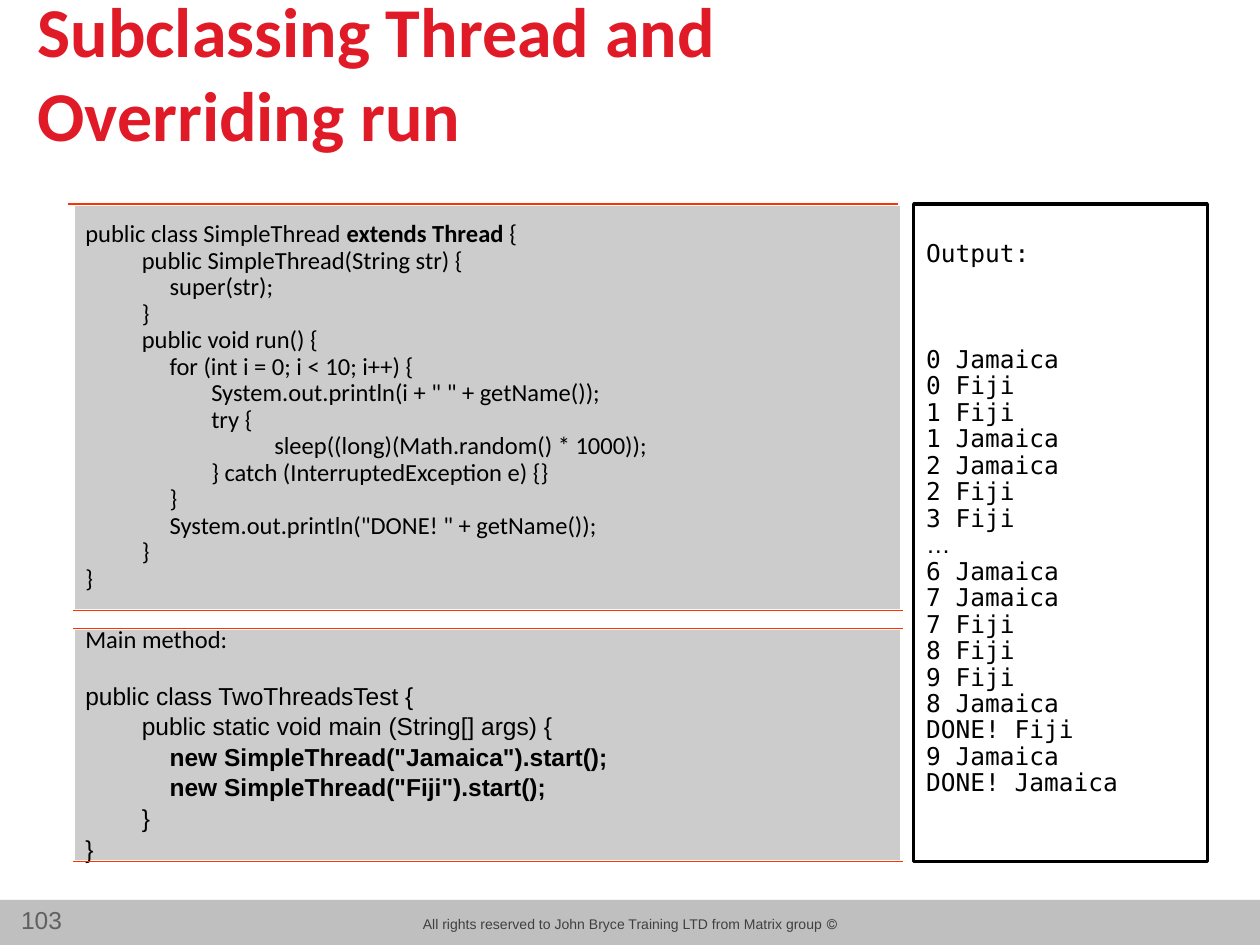
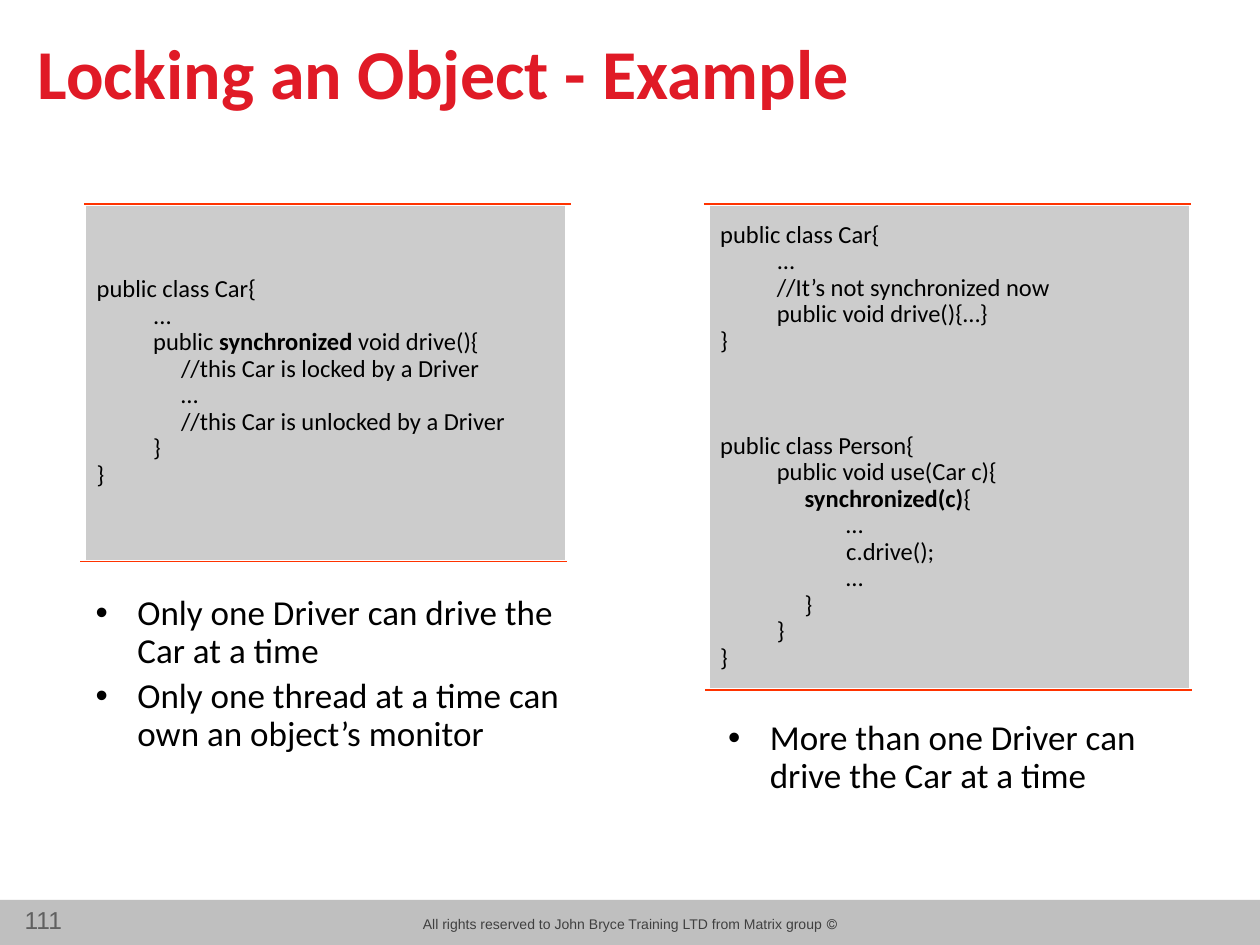
from dataclasses import dataclass
from typing import Any, NamedTuple

import lxml.etree
import pptx
import pptx.dml.color
import pptx.enum.shapes
import pptx.enum.text
import pptx.oxml.ns
import pptx.util

Cm = pptx.util.Cm
Pt = pptx.util.Pt
RGBColor = pptx.dml.color.RGBColor
ALIGN = pptx.enum.text.PP_ALIGN
ANCHOR = pptx.enum.text.MSO_ANCHOR

BLACK = RGBColor(0x00, 0x00, 0x00)
WHITE = RGBColor(0xFF, 0xFF, 0xFF)
TITLE_RED = RGBColor(0xE0, 0x1A, 0x26)
RULE_ORANGE = RGBColor(0xFF, 0x33, 0x00)
PANEL_GREY = RGBColor(0xCC, 0xCC, 0xCC)
BAND_GREY = RGBColor(0xBF, 0xBF, 0xBF)
FOOTER_GREY = RGBColor(0x40, 0x40, 0x40)
NUMBER_GREY = RGBColor(0x60, 0x60, 0x60)

SANS, ARIAL, MONO = "Calibri", "Arial", "DejaVu Sans Mono"
CODE_TABS = (1.14, 1.7)
BULLET_INDENT = 0.84
PANEL_TOP = 4.11
FOOTER = "© All rights reserved to John Bryce Training LTD from Matrix group"


class Area(NamedTuple):
    left: float
    top: float
    width: float
    height: float

    def lengths(self) -> list[pptx.util.Length]:
        return [Cm(value) for value in self]


class Block(NamedTuple):
    text: str
    typeface: str = SANS
    gap: float = 0
    spacing: float = 0.9


@dataclass
class Panel:
    area: Area
    blocks: list[Block]
    fill: RGBColor = PANEL_GREY
    line: RGBColor = WHITE
    bottom_inset: float = 0.13
    rule_shifts: tuple[float, ...] = ()
    rule_overhang: float = 0


@dataclass
class Bullets:
    area: Area
    items: list[str]


@dataclass
class Page:
    number: int
    title: str
    panels: list[Panel]
    bullets: list[Bullets]


def apply(target: Any, formats: dict[str, Any]) -> None:
    for name, value in formats.items():
        setattr(target, name, value)


def add_span(para: Any, text: str, size: float, color: RGBColor = BLACK,
             typeface: str = SANS, bold: bool = False) -> None:
    span = para.add_run()
    span.text = text
    apply(span.font, {"size": Pt(size), "name": typeface, "bold": bold})
    span.font.color.rgb = color


def add_element(parent: Any, tag: str, **attributes: str) -> Any:
    return lxml.etree.SubElement(parent, pptx.oxml.ns.qn(tag), attributes)


def add_text_box(page: Any, area: Area, **formats: Any) -> Any:
    frame = page.shapes.add_textbox(*area.lengths()).text_frame
    apply(frame, {"word_wrap": True} | formats)
    return frame


def add_rectangle(page: Any, area: Area, fill: RGBColor) -> Any:
    box = page.shapes.add_shape(
        pptx.enum.shapes.MSO_SHAPE.RECTANGLE, *area.lengths())
    box.shadow.inherit = False
    box.fill.solid()
    box.fill.fore_color.rgb = fill
    box.line.fill.background()
    return box


def add_rule(page: Any, left: float, top: float, width: float) -> None:
    rule = page.shapes.add_connector(
        pptx.enum.shapes.MSO_CONNECTOR.STRAIGHT,
        Cm(left), Cm(top), Cm(left + width), Cm(top))
    rule.line.color.rgb = RULE_ORANGE
    rule.line.width = Pt(0.75)
    add_element(rule._element.spPr, "a:effectLst")


def next_para(frame: Any, index: int) -> Any:
    return frame.add_paragraph() if index else frame.paragraphs[0]


def add_panel(page: Any, panel: Panel) -> None:
    area = panel.area
    box = add_rectangle(page, area, panel.fill)
    box.line.color.rgb = panel.line
    box.line.width = Pt(2)
    frame = box.text_frame
    apply(frame, {"word_wrap": True, "vertical_anchor": ANCHOR.MIDDLE,
                  "margin_bottom": Cm(panel.bottom_inset)})
    lines = [(block, row, line) for block in panel.blocks
             for row, line in enumerate(block.text.strip().splitlines())]
    for index, (block, row, line) in enumerate(lines):
        para = next_para(frame, index)
        apply(para, {"alignment": ALIGN.LEFT, "line_spacing": block.spacing,
                     "space_before": Pt(0 if row else block.gap)})
        tabs = add_element(para._p.get_or_add_pPr(), "a:tabLst")
        for stop in CODE_TABS:
            add_element(tabs, "a:tab", pos=str(Cm(stop)), algn="l")
        for part, text in enumerate(line.replace("    ", "\t").split("**")):
            if text:
                add_span(para, text, 14, typeface=block.typeface, bold=part % 2 == 1)
    for shift, top in zip(panel.rule_shifts, (area.top, area.top + area.height)):
        add_rule(page, area.left + shift, top, area.width + panel.rule_overhang)


def add_bullets(page: Any, bullets: Bullets) -> None:
    frame = add_text_box(page, bullets.area, margin_left=Cm(0.23),
                         margin_right=Cm(0.23), margin_top=Cm(0.1),
                         margin_bottom=Cm(0.1))
    for index, item in enumerate(bullets.items):
        para = next_para(frame, index)
        apply(para, {"line_spacing": 0.9, "space_before": Pt(4 if index else 0)})
        properties = para._p.get_or_add_pPr()
        properties.set("marL", str(Cm(BULLET_INDENT)))
        properties.set("indent", str(-Cm(BULLET_INDENT)))
        add_element(properties, "a:buFont", typeface=ARIAL)
        add_element(properties, "a:buChar", char="•")
        add_span(para, item, 20)


def add_frame(page: Any, number: int, title: str) -> None:
    add_rectangle(page, Area(0, 18.14, 25.4, 0.91), BAND_GREY)
    para = add_text_box(page, Area(8.08, 18.34, 9.25, 0.61)).paragraphs[0]
    para.alignment = ALIGN.CENTER
    para._p.get_or_add_pPr().set("rtl", "1")
    add_span(para, FOOTER, 8, FOOTER_GREY, ARIAL)
    para = add_text_box(page, Area(0, 18.11, 1.5, 0.86)).paragraphs[0]
    para.alignment = ALIGN.RIGHT
    add_span(para, str(number), 14, NUMBER_GREY, ARIAL)
    frame = add_text_box(page, Area(0.51, 0.36, 20.4, 2.16),
                         vertical_anchor=ANCHOR.MIDDLE)
    add_span(frame.paragraphs[0], title, 40, TITLE_RED, bold=True)


SIMPLE_THREAD = """
public class SimpleThread **extends Thread **{
    public SimpleThread(String str) {
        super(str);
    }
    public void run() {
        for (int i = 0; i < 10; i++) {
            System.out.println(i + " " + getName());
            try {
                sleep((long)(Math.random() * 1000));
            } catch (InterruptedException e) {}
        }
        System.out.println("DONE! " + getName());
    }
}
"""
TWO_THREADS = """
public class TwoThreadsTest {
    public static void main (String[] args) {
        **new SimpleThread("Jamaica").start();**
        **new SimpleThread("Fiji").start();**
    }
}
"""
OUTPUT_START = """
0 Jamaica
0 Fiji
1 Fiji
1 Jamaica
2 Jamaica
2 Fiji
3 Fiji
"""
OUTPUT_END = """
6 Jamaica
7 Jamaica
7 Fiji
8 Fiji
9 Fiji
8 Jamaica
DONE! Fiji
9 Jamaica
DONE! Jamaica
"""
SYNCHRONIZED_CAR = """
public class Car{
    ...
    public **synchronized** void drive(){
        //this Car is locked by a Driver
        …
        //this Car is unlocked by a Driver
    }
}
"""
PLAIN_CAR = """
public class Car{
    ...
    //It’s not synchronized now
    public void drive(){…}
}
"""
PERSON = """
public class Person{
    public void use(Car c){
        **synchronized(c)**{
            …
            c.drive();
            …
        }
    }
}
"""

PAGES = [
    Page(103, "Subclassing Thread and Overriding run", [
        Panel(Area(1.47, PANEL_TOP, 16.71, 8.2), [Block(SIMPLE_THREAD)],
              rule_shifts=(-0.1, 0), rule_overhang=0.03),
        Panel(Area(1.47, 12.67, 16.71, 4.7),
              [Block("Main method:"), Block(TWO_THREADS, ARIAL, 15, 1.04)],
              rule_shifts=(0, 0), rule_overhang=0.03),
        Panel(Area(18.42, PANEL_TOP, 5.92, 13.26),
              [Block("Output:", MONO), Block(OUTPUT_START, MONO, 45),
               Block("…", ARIAL), Block(OUTPUT_END, MONO)],
              fill=WHITE, line=BLACK, bottom_inset=0.66),
    ], []),
    Page(111, "Locking an Object - Example", [
        Panel(Area(1.7, PANEL_TOP, 9.73, 7.21), [Block(SYNCHRONIZED_CAR)],
              rule_shifts=(0, -0.08), rule_overhang=0.08),
        Panel(Area(14.27, PANEL_TOP, 9.73, 9.8),
              [Block(PLAIN_CAR), Block(PERSON, gap=45)],
              rule_shifts=(-0.08, -0.05), rule_overhang=0.08),
    ], [
        Bullets(Area(1.7, 11.91, 10.16, 2.97),
                ["Only one Driver can drive the Car at a time",
                 "Only one thread at a time can own an object’s monitor"]),
        Bullets(Area(14.45, 14.43, 10.03, 2.21),
                ["More than one Driver can drive the Car at a time"]),
    ]),
]


def main() -> None:
    deck = pptx.Presentation()
    apply(deck, {"slide_width": Cm(25.4), "slide_height": Cm(19.05)})
    for content in PAGES:
        page = deck.slides.add_slide(deck.slide_layouts[6])
        add_frame(page, content.number, content.title)
        for panel in content.panels:
            add_panel(page, panel)
        for bullets in content.bullets:
            add_bullets(page, bullets)
    deck.save("out.pptx")


if __name__ == "__main__":
    main()
